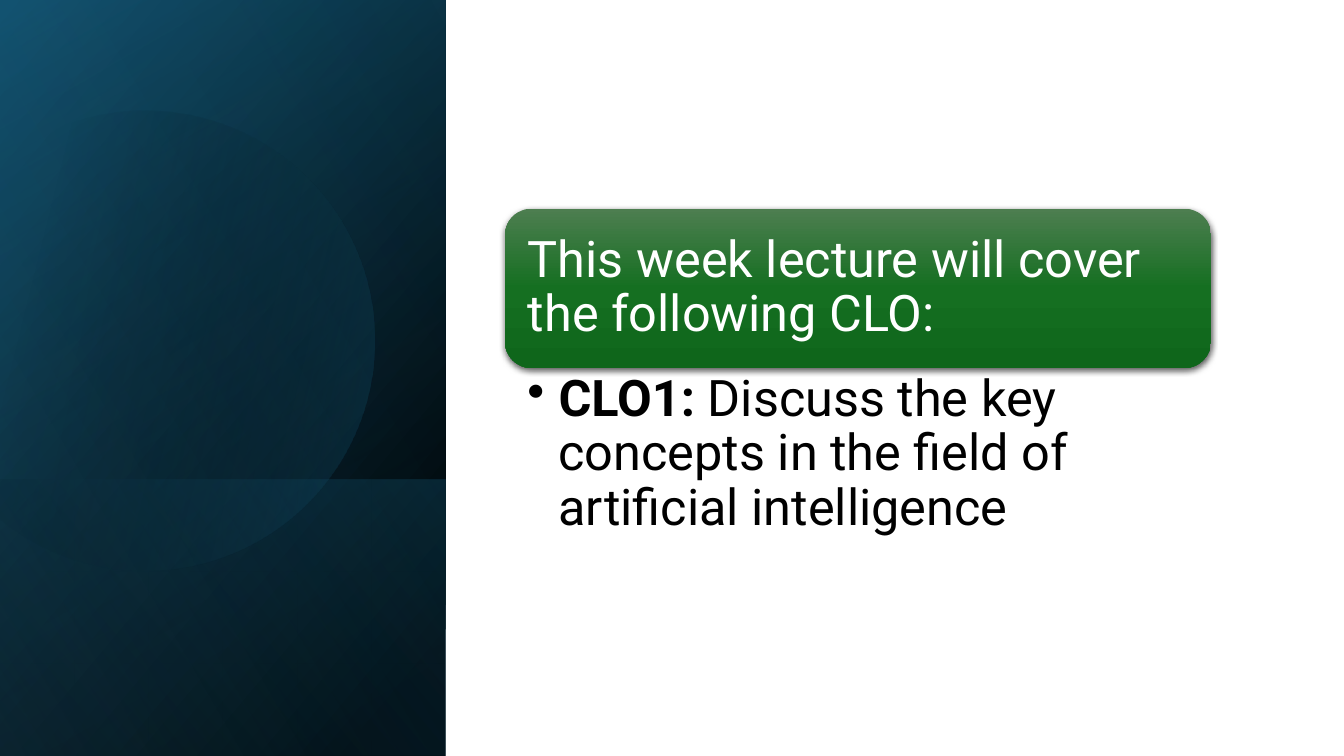
import math

import lxml.etree
import pptx
import pptx.dml.color
import pptx.enum.shapes
import pptx.enum.text
import pptx.oxml
import pptx.oxml.ns
import pptx.util

Inches = pptx.util.Inches
Pt = pptx.util.Pt
qn = pptx.oxml.ns.qn
SHAPE = pptx.enum.shapes.MSO_SHAPE
ANCHOR = pptx.enum.text.MSO_ANCHOR
NS = 'xmlns:a="http://schemas.openxmlformats.org/drawingml/2006/main"'

COLORS = {
    "black": "000000",
    "white": "FFFFFF",
    "navy": "104862",
    "teal": "156082",
    "sky": "46B1E1",
    "green_light": "4D7E50",
    "green": "156F21",
    "green_dark": "0F661B",
}
BODY = {"name": "Roboto", "size": Pt(36), "bold": False}


def set_gradient(sp, stops, angle):
    sp.line.fill.background()
    sp.shadow.inherit = False
    gs = "".join(
        f'<a:gs pos="{pos * 1000}"><a:srgbClr val="{COLORS[color]}">'
        f'<a:alpha val="{alpha * 1000}"/></a:srgbClr></a:gs>'
        for pos, color, alpha in stops
    )
    grad = pptx.oxml.parse_xml(
        f'<a:gradFill {NS} rotWithShape="1"><a:gsLst>{gs}</a:gsLst>'
        f'<a:lin ang="{angle * 60000}" scaled="0"/></a:gradFill>'
    )
    sp._element.spPr.find(qn("a:ln")).addprevious(grad)


def add_turned_rect(s, x, y, w, h, stops, angle):
    left, top = x + (w - h) / 2, y + (h - w) / 2
    sp = s.shapes.add_shape(
        SHAPE.RECTANGLE, Inches(left), Inches(top), Inches(h), Inches(w)
    )
    sp.rotation = 90
    sp._element.spPr.find(qn("a:xfrm")).set("flipH", "1")
    set_gradient(sp, stops, angle)


def add_disc(s, x, y, radius, half_arc, tilt, stops, angle):
    steps = 120
    turns = [
        math.radians(tilt - half_arc + 2 * half_arc * i / steps)
        for i in range(steps + 1)
    ]
    points = [
        (Inches(radius * math.cos(t)), Inches(radius * math.sin(t))) for t in turns
    ]
    builder = s.shapes.build_freeform(*points[0])
    builder.add_line_segments(points[1:], close=True)
    sp = builder.convert_to_shape()
    sp.left, sp.top, sp.rotation = Inches(x), Inches(y), 360 - tilt
    set_gradient(sp, stops, angle)


def add_side_panel(s, x, y, w, h):
    add_turned_rect(s, x, y, w, h, [(8, "black", 100), (100, "navy", 100)], 50)
    add_turned_rect(s, x, y, w, h, [(0, "black", 0), (99, "teal", 46)], 30)
    band = 2.74
    add_turned_rect(
        s, x, y + h - band, w, band, [(2, "teal", 29), (100, "black", 30)], 130
    )
    add_disc(
        s, x - 0.55, y + 1.06, 2.28, 134.2, 16.1,
        [(29, "black", 0), (100, "teal", 43)], 30,
    )
    add_turned_rect(s, x, y, w, h, [(0, "black", 0), (99, "sky", 11)], 120)


def set_text(sp, runs, color, anchor, insets):
    tf = sp.text_frame
    frame = {"word_wrap": True, "vertical_anchor": anchor}
    sides = ("margin_left", "margin_top", "margin_right", "margin_bottom")
    frame.update(zip(sides, map(Inches, insets)))
    for name, value in frame.items():
        setattr(tf, name, value)
    p = tf.paragraphs[0]
    p.alignment = pptx.enum.text.PP_ALIGN.LEFT
    p.line_spacing = 0.9
    for text, extra in runs:
        r = p.add_run()
        r.text = text
        for name, value in {**BODY, **extra}.items():
            setattr(r.font, name, value)
        r.font.color.rgb = pptx.dml.color.RGBColor.from_string(COLORS[color])
    return p


def add_outcomes(s, x, y, w, h):
    head = 1.58
    sp = s.shapes.add_shape(
        SHAPE.ROUNDED_RECTANGLE, Inches(x), Inches(y), Inches(w), Inches(head)
    )
    set_gradient(
        sp, [(0, "green_light", 100), (50, "green", 100), (100, "green_dark", 100)], 90
    )
    effects = sp._element.spPr.find(qn("a:effectLst"))
    effects.append(pptx.oxml.parse_xml(
        f'<a:outerShdw {NS} blurRad="{Pt(4.5)}" dist="{Pt(1.5)}" dir="5400000" '
        f'algn="ctr" rotWithShape="0"><a:srgbClr val="{COLORS["black"]}">'
        '<a:alpha val="63000"/></a:srgbClr></a:outerShdw>'
    ))
    set_text(
        sp, [("This week lecture will cover the following CLO:", {})],
        "white", ANCHOR.MIDDLE, [0.15] * 4,
    )

    sp = s.shapes.add_textbox(
        Inches(x), Inches(y + head), Inches(w), Inches(h - head)
    )
    p = set_text(
        sp,
        [
            ("CLO1: ", {"bold": True}),
            ("Discuss the key concepts in the field of artificial intelligence", {}),
        ],
        "black", ANCHOR.TOP, [0.22, 0.05, 0.28, 0.05],
    )
    p.level = 1
    pPr = p._p.get_or_add_pPr()
    pPr.set("marL", str(Inches(0.31)))
    pPr.set("indent", str(-Inches(0.31)))
    lxml.etree.SubElement(pPr, qn("a:buChar")).set("char", "•")


def main():
    prs = pptx.Presentation()
    prs.slide_width, prs.slide_height = Inches(13.33), Inches(7.5)
    s = prs.slides.add_slide(prs.slide_layouts[6])
    add_side_panel(s, 0, 0, 4.42, 7.5)
    add_outcomes(s, 5.01, 2.07, 7, 3.35)
    prs.save("out.pptx")


if __name__ == "__main__":
    main()
